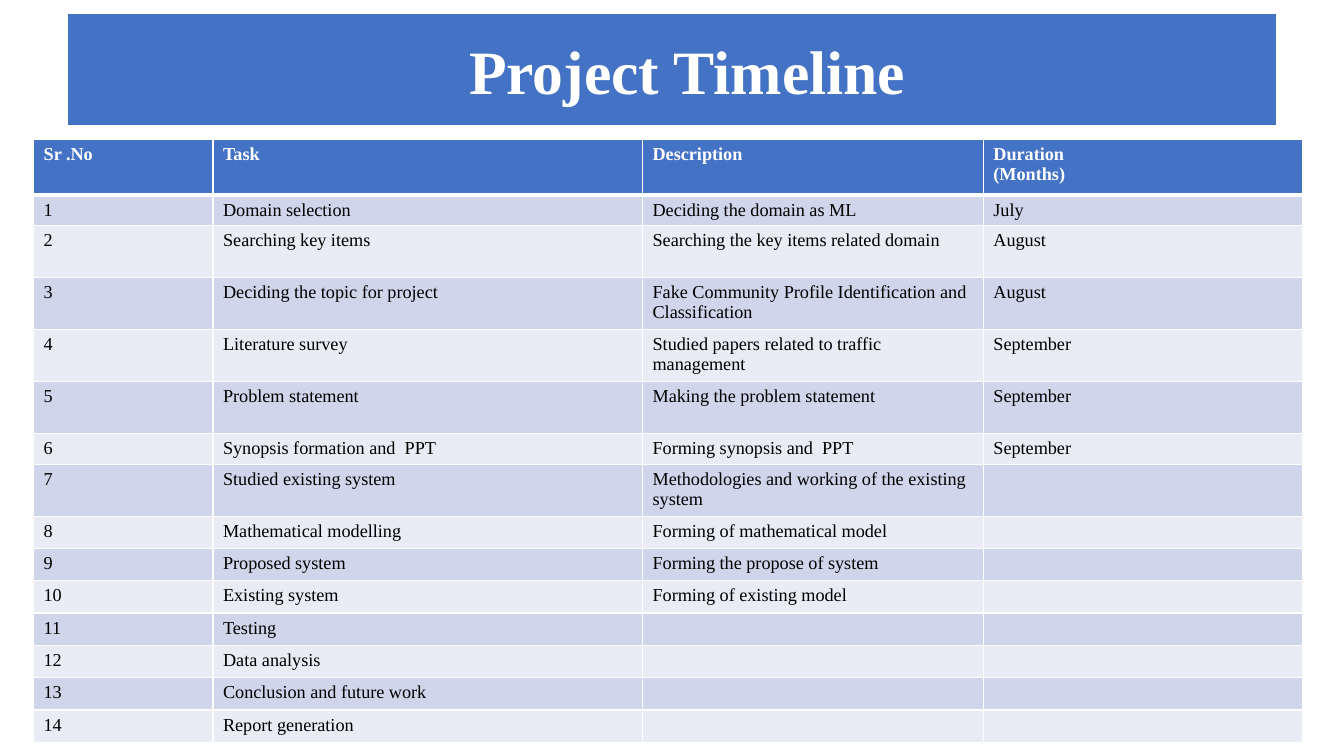
from lxml import etree
from pptx import Presentation
from pptx import util as u
from pptx.dml.color import RGBColor
from pptx.enum import shapes, text
from pptx.oxml.ns import qn

HEADER = ["Sr .No", "Task", "Description", "Duration\n(Months)"]
TASKS = [
    ("Domain selection", "Deciding the domain as ML", "July"),
    ("Searching key items", "Searching the key items related domain", "August"),
    ("Deciding the topic for project",
     "Fake Community Profile Identification and Classification", "August"),
    ("Literature survey", "Studied papers related to traffic management", "September"),
    ("Problem statement", "Making the problem statement", "September"),
    ("Synopsis formation and  PPT", "Forming synopsis and  PPT", "September"),
    ("Studied existing system", "Methodologies and working of the existing system", ""),
    ("Mathematical modelling", "Forming of mathematical model", ""),
    ("Proposed system", "Forming the propose of system", ""),
    ("Existing system", "Forming of existing model", ""),
    ("Testing", "", ""),
    ("Data analysis", "", ""),
    ("Conclusion and future work", "", ""),
    ("Report generation", "", ""),
]
TALL_ROWS = {2, 3, 4, 5, 7}
COLUMN_SHARES = [13.35, 31.96, 25.36, 23.78]


def rgb(value):
    return RGBColor.from_string(value)


def write(tf, content, font, size, color, bold=False, align=text.PP_ALIGN.LEFT):
    for i, line in enumerate(content.split("\n")):
        p = tf.add_paragraph() if i else tf.paragraphs[0]
        p.alignment = align
        if not line:
            etree.SubElement(p._p, qn("a:endParaRPr"), sz=str(size * 100))
            continue
        r = p.add_run()
        r.text = line
        r.font.name, r.font.size, r.font.bold = font, u.Pt(size), bold
        r.font.color.rgb = rgb(color)


class Deck:
    font = "Times New Roman"
    blue, white, black = "4472C4", "FFFFFF", "000000"
    bands = ["E9EBF5", "CFD5EA"]

    def __init__(self):
        self.prs = Presentation()
        self.prs.slide_width, self.prs.slide_height = u.Inches(13.33), u.Inches(7.5)
        self.s = self.prs.slides.add_slide(self.prs.slide_layouts[6])

    def x(self, share):
        return int(self.prs.slide_width * share / 100)

    def y(self, share):
        return int(self.prs.slide_height * share / 100)

    def banner(self, title, left, top, width, height):
        sp = self.s.shapes.add_shape(shapes.MSO_SHAPE.RECTANGLE, self.x(left),
                                     self.y(top), self.x(width), self.y(height))
        sp.shadow.inherit = False
        sp.fill.solid()
        sp.fill.fore_color.rgb = rgb(self.blue)
        sp.line.color.rgb = rgb(self.white)
        sp.line.width = u.Pt(1.5)
        tf = sp.text_frame
        tf.word_wrap = True
        tf.vertical_anchor = text.MSO_ANCHOR.MIDDLE
        tf.margin_left, tf.margin_right = self.x(3.1), self.x(0.8)
        tf.margin_top = tf.margin_bottom = self.y(0.8)
        write(tf, title, self.font, 44, self.white, True, text.PP_ALIGN.CENTER)

    def borders(self, cell, top, bottom):
        tcPr = cell._tc.get_or_add_tcPr()
        for side, width in (("L", 1), ("R", 1), ("T", top), ("B", bottom)):
            ln = etree.SubElement(tcPr, qn(f"a:ln{side}"), w=str(u.Pt(width)))
            fill = etree.SubElement(ln, qn("a:solidFill"))
            etree.SubElement(fill, qn("a:srgbClr"), val=self.white)

    def table(self, rows, left, top, widths, heights):
        tbl = self.s.shapes.add_table(
            len(rows), len(widths), self.x(left), self.y(top),
            self.x(sum(widths)), self.y(sum(heights))).table
        for column, width in zip(tbl.columns, widths):
            column.width = self.x(width)
        for i, (row, height) in enumerate(zip(rows, heights)):
            tbl.rows[i].height = self.y(height)
            head = i == 0
            for j, content in enumerate(row):
                cell = tbl.cell(i, j)
                self.borders(cell, 3 if i == 1 else 1, 3 if head else 1)
                cell.fill.solid()
                cell.fill.fore_color.rgb = rgb(self.blue if head else self.bands[i % 2])
                write(cell.text_frame, content, self.font, 13,
                      self.white if head else self.black, head)


def main():
    deck = Deck()
    deck.banner("Project Timeline", 5, 1.75, 90, 14.9)
    rows = [HEADER] + [(str(n), *task) for n, task in enumerate(TASKS, 1)]
    heights = [7.33] + [6.87 if n in TALL_ROWS else 4.08 for n in range(1, len(rows))]
    deck.table(rows, 2.5, 18.45, COLUMN_SHARES, heights)
    deck.prs.save("out.pptx")


if __name__ == "__main__":
    main()
